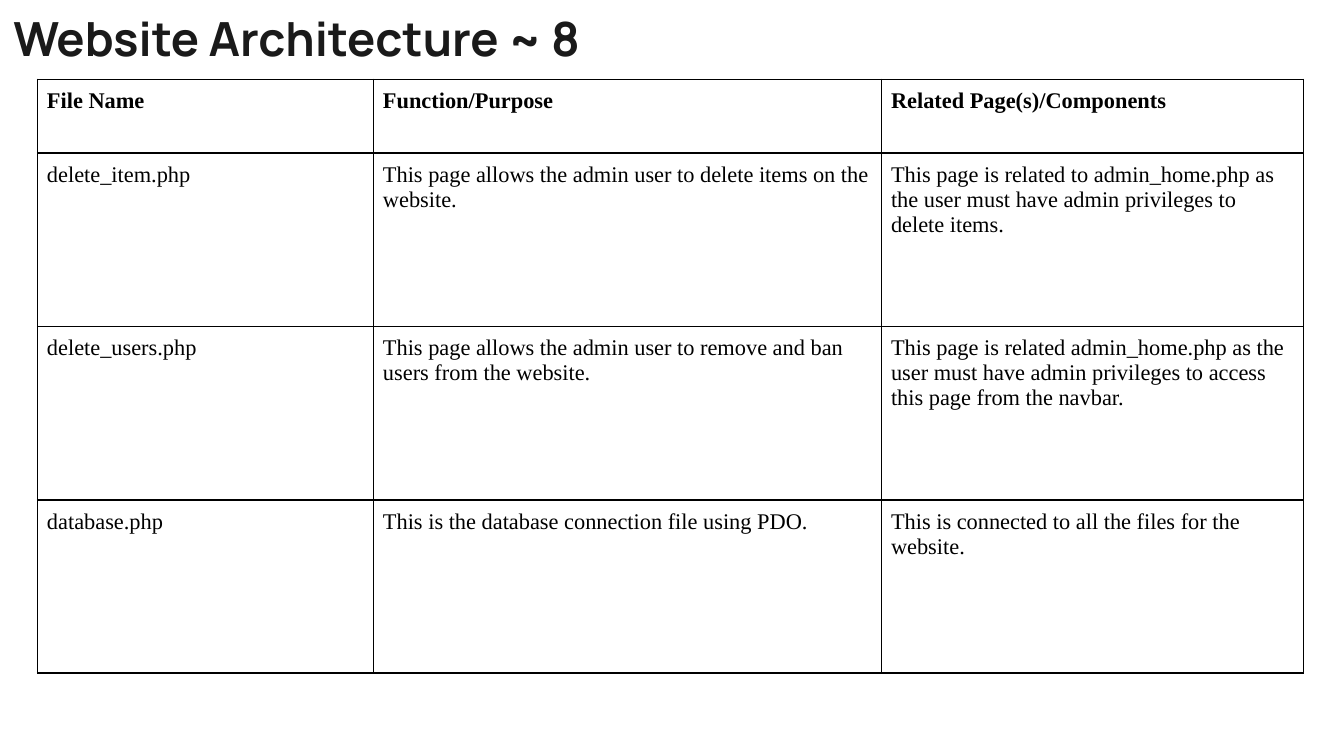
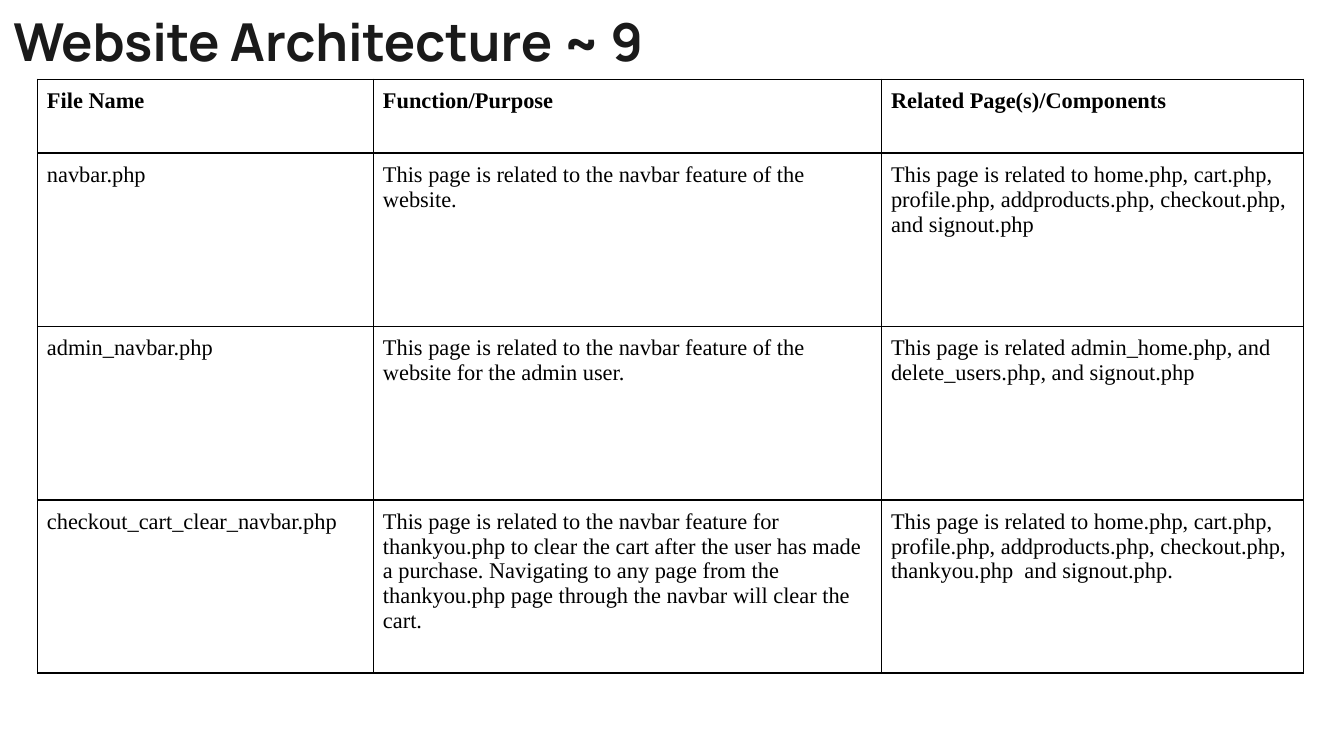
from lxml import etree
from pptx import Presentation
from pptx.dml.color import RGBColor
from pptx.enum.text import MSO_ANCHOR, MSO_AUTO_SIZE, PP_ALIGN
from pptx.oxml.ns import qn
from pptx.util import Inches, Pt

TOP = MSO_ANCHOR.TOP
LEFT = PP_ALIGN.LEFT
NO_AUTOFIT = MSO_AUTO_SIZE.NONE

TITLE_COLOR = "1A1A1A"
TABLE_COLOR = "000000"
TITLE_ONLY_LAYOUT = 5

COLUMN_WIDTHS = [2.5, 3.78, 3.14]
ROW_HEIGHTS = [0.55, 1.29, 1.29, 1.29]
HEADINGS = ["File Name", "Function/Purpose", "Related Page(s)/Components"]

# title, title size, title width, title height, file rows
PAGES = [
    ("Website Architecture ~ 8", 25.2, 8.41, 0.59, [
        ["delete_item.php",
         "This page allows the admin user to delete items on the website.",
         "This page is related to admin_home.php as the user must have admin "
         "privileges to delete items."],
        ["delete_users.php",
         "This page allows the admin user to remove and ban users from the website.",
         "This page is related admin_home.php as the user must have admin "
         "privileges to access this page from the navbar."],
        ["database.php",
         "This is the database connection file using PDO.",
         "This is connected to all the files for the website."],
    ]),
    ("Website Architecture ~ 9", 28, 9.02, 0.67, [
        ["navbar.php",
         "This page is related to the navbar feature of the website.",
         "This page is related to home.php, cart.php, profile.php, "
         "addproducts.php, checkout.php, and signout.php"],
        ["admin_navbar.php",
         "This page is related to the navbar feature of the website for the admin user.",
         "This page is related admin_home.php, and delete_users.php, and signout.php"],
        ["checkout_cart_clear_navbar.php",
         "This page is related to the navbar feature for thankyou.php to clear the "
         "cart after the user has made a purchase. Navigating to any page from the "
         "thankyou.php page through the navbar will clear the cart.",
         "This page is related to home.php, cart.php, profile.php, "
         "addproducts.php, checkout.php, thankyou.php  and signout.php."],
    ]),
]


def style_text(frame, font_name, size, color, bold):
    paragraph = frame.paragraphs[0]
    paragraph.alignment = LEFT
    font = paragraph.font
    font.name = font_name
    font.size = Pt(size)
    font.bold = bold
    font.color.rgb = RGBColor.from_string(color)


def add_borders(cell, color, points):
    properties = cell._tc.get_or_add_tcPr()
    # Border lines must come before the fill in the cell properties
    for position, side in enumerate(["lnL", "lnR", "lnT", "lnB"]):
        line = etree.Element(qn(f"a:{side}"), w=str(Pt(points)))
        fill = etree.SubElement(line, qn("a:solidFill"))
        etree.SubElement(fill, qn("a:srgbClr"), val=color)
        properties.insert(position, line)


prs = Presentation()
prs.slide_width = Inches(10)
prs.slide_height = Inches(5.625)

for heading, heading_size, heading_width, heading_height, files in PAGES:
    slide = prs.slides.add_slide(prs.slide_layouts[TITLE_ONLY_LAYOUT])

    title = slide.shapes.title
    title.left, title.top = Inches(0), Inches(0)
    title.width, title.height = Inches(heading_width), Inches(heading_height)
    frame = title.text_frame
    frame.text = heading
    frame.word_wrap = True
    frame.auto_size = NO_AUTOFIT
    frame.vertical_anchor = TOP
    frame.margin_left = frame.margin_right = Inches(0.1)
    frame.margin_top = frame.margin_bottom = Inches(0.1)
    frame.paragraphs[0].line_spacing = 0.95
    style_text(frame, "Manrope", heading_size, TITLE_COLOR, True)

    rows = [HEADINGS] + files
    file_table = slide.shapes.add_table(
        len(rows), len(HEADINGS), Inches(0.28), Inches(0.59),
        Inches(sum(COLUMN_WIDTHS)), Inches(sum(ROW_HEIGHTS))).table
    file_table.first_row = False
    file_table.horz_banding = False
    for column, width in zip(file_table.columns, COLUMN_WIDTHS):
        column.width = Inches(width)

    for r, (texts, height) in enumerate(zip(rows, ROW_HEIGHTS)):
        file_table.rows[r].height = Inches(height)
        for c, text in enumerate(texts):
            cell = file_table.cell(r, c)
            cell.text = text
            cell.vertical_anchor = TOP
            cell.margin_left = cell.margin_right = Inches(0.07)
            cell.margin_top = cell.margin_bottom = Inches(0.07)
            cell.fill.background()
            add_borders(cell, TABLE_COLOR, 1)
            style_text(cell.text_frame, "Times New Roman", 12, TABLE_COLOR, r == 0)

prs.save("out.pptx")
